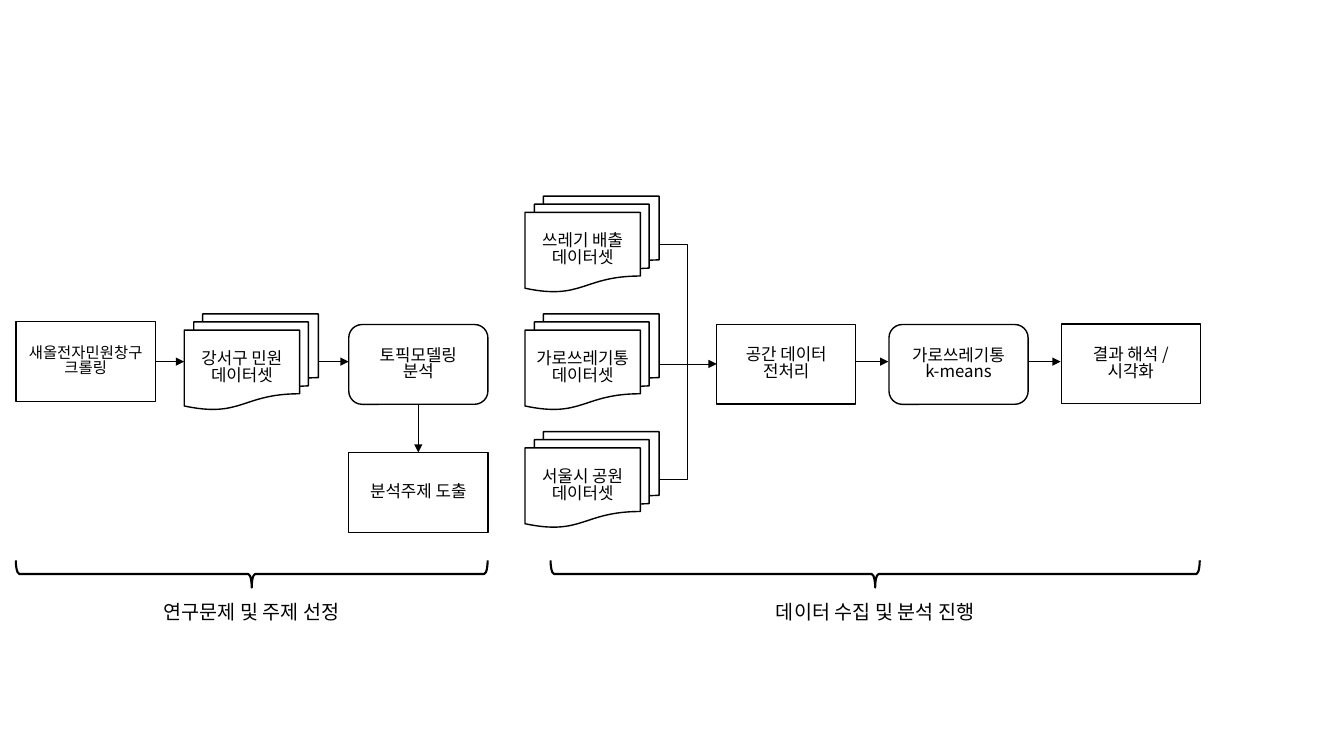
from lxml.etree import SubElement
from pptx import Presentation
from pptx.dml.color import RGBColor
from pptx.enum.shapes import MSO_CONNECTOR as Link, MSO_SHAPE as Preset
from pptx.enum.text import MSO_ANCHOR as Anchor, PP_ALIGN as Align
from pptx.oxml.ns import qn
from pptx.util import Pt

COLORS = {"ink": "000000", "paper": "FFFFFF"}
FONT = "Noto Sans CJK KR"
BOX_W, BOX_H = 99.4, 57
DOC_W, DOC_H = 95.8, 68.4


class Flowchart:
    """Holds the style and the current slide; lengths are in points."""

    def __init__(self, page):
        self.shapes = page.shapes

    def color(self, name):
        return RGBColor.from_string(COLORS[name])

    def outline(self, item, width):
        item.line.color.rgb = self.color("ink")
        item.line.width = Pt(width)

    def fill_text(self, box, text, size, anchor, inset):
        frame = box.text_frame
        margins = {f"margin_{side}": Pt(inset) for side in ("left", "right")}
        for name, value in {"word_wrap": True, "vertical_anchor": anchor, **margins}.items():
            setattr(frame, name, value)
        frame.text = text
        for para in frame.paragraphs:
            para.alignment = Align.CENTER
            para.line_spacing = 0.83
            for span in para.runs:
                for name, value in {"size": Pt(size), "name": FONT}.items():
                    setattr(span.font, name, value)
                span.font.color.rgb = self.color("ink")
                SubElement(span.font._element, qn("a:ea")).set("typeface", FONT)

    def node(self, preset, left, top, text, size=12, width=BOX_W, height=BOX_H):
        box = self.shapes.add_shape(preset, Pt(left), Pt(top), Pt(width), Pt(height))
        box.shadow.inherit = False
        box.fill.solid()
        box.fill.fore_color.rgb = self.color("paper")
        self.outline(box, 1)
        self.fill_text(box, text, size, Anchor.MIDDLE, 0)

    def documents(self, left, top, text):
        self.node(Preset.FLOWCHART_MULTIDOCUMENT, left, top, text, width=DOC_W, height=DOC_H)

    def link(self, start, end, kind=Link.STRAIGHT, arrow=True, geometry=None):
        line = self.shapes.add_connector(kind, *map(Pt, start + end))
        self.outline(line, 0.5)
        properties = line._element.spPr
        if geometry:
            properties.find(qn("a:prstGeom")).set("prst", geometry)
        if arrow:
            SubElement(properties.find(qn("a:ln")), qn("a:tailEnd")).set("type", "triangle")
        SubElement(properties, qn("a:effectLst"))

    def brace(self, left, right, top, depth=19.4):
        length = right - left
        # The brace is drawn upright, then turned about its centre
        x = (left + right - depth) / 2
        y = top + (depth - length) / 2
        brace = self.shapes.add_shape(Preset.LEFT_BRACE, Pt(x), Pt(y), Pt(depth), Pt(length))
        brace.shadow.inherit = False
        brace.fill.background()
        brace.rotation = 270
        brace.adjustments[0] = 0.126
        self.outline(brace, 1.5)

    def label(self, center, top, text, width=262, height=24.5):
        box = self.shapes.add_textbox(Pt(center - width / 2), Pt(top), Pt(width), Pt(height))
        self.fill_text(box, text, 14, Anchor.TOP, 7.2)


deck = Presentation()
deck.slide_width, deck.slide_height = Pt(960), Pt(540)
page = deck.slides.add_slide(deck.slide_layouts[6])
chart = Flowchart(page)

# Process steps
STEPS = [
    (Preset.RECTANGLE, 249.1, 323.3, "분석주제 도출", 12),
    (Preset.RECTANGLE, 11.5, 229.7, "새올전자민원창구\n크롤링", 11),
    (Preset.ROUNDED_RECTANGLE, 249.1, 231.8, "토픽모델링\n분석", 12),
    (Preset.RECTANGLE, 511.9, 231.6, "공간 데이터\n전처리", 12),
    (Preset.ROUNDED_RECTANGLE, 635, 231.8, "가로쓰레기통\nk-means", 12),
    (Preset.RECTANGLE, 758, 231.4, "결과 해석 /\n시각화", 12),
]
for step in STEPS:
    chart.node(*step)

# Datasets
chart.documents(131.6, 224.2, "강서구 민원\n데이터셋")
for row, topic in enumerate(("쓰레기 배출", "가로쓰레기통", "서울시 공원")):
    chart.documents(375, 140.1 + 84.1 * row, f"{topic}\n데이터셋")

# Arrows between steps
FLOW_Y = 258.3
for start, end in ((111, 131.6), (227, 249.1), (611.3, 634.6), (734.4, 757.6)):
    chart.link((start, FLOW_Y), (end, FLOW_Y))
chart.link((298.8, 288.7), (298.8, 323.3))

# Datasets joining into preprocessing
DATA_X, JOIN_X, JOIN_Y = 470.5, 491.2, 260
chart.link((DATA_X, 174.4), (511.9, JOIN_Y), Link.ELBOW)
chart.link((DATA_X, 342.3), (JOIN_X, JOIN_Y), Link.ELBOW, False, "bentConnector2")
chart.link((JOIN_X, JOIN_Y), (DATA_X, JOIN_Y), arrow=False)

# Phases
for left, right, phase in ((11.3, 348.3, "연구문제 및 주제 선정"),
                           (393.3, 857, "데이터 수집 및 분석 진행")):
    chart.brace(left, right, 400.3)
    chart.label((left + right) / 2, 427.5, phase)

deck.save("out.pptx")
